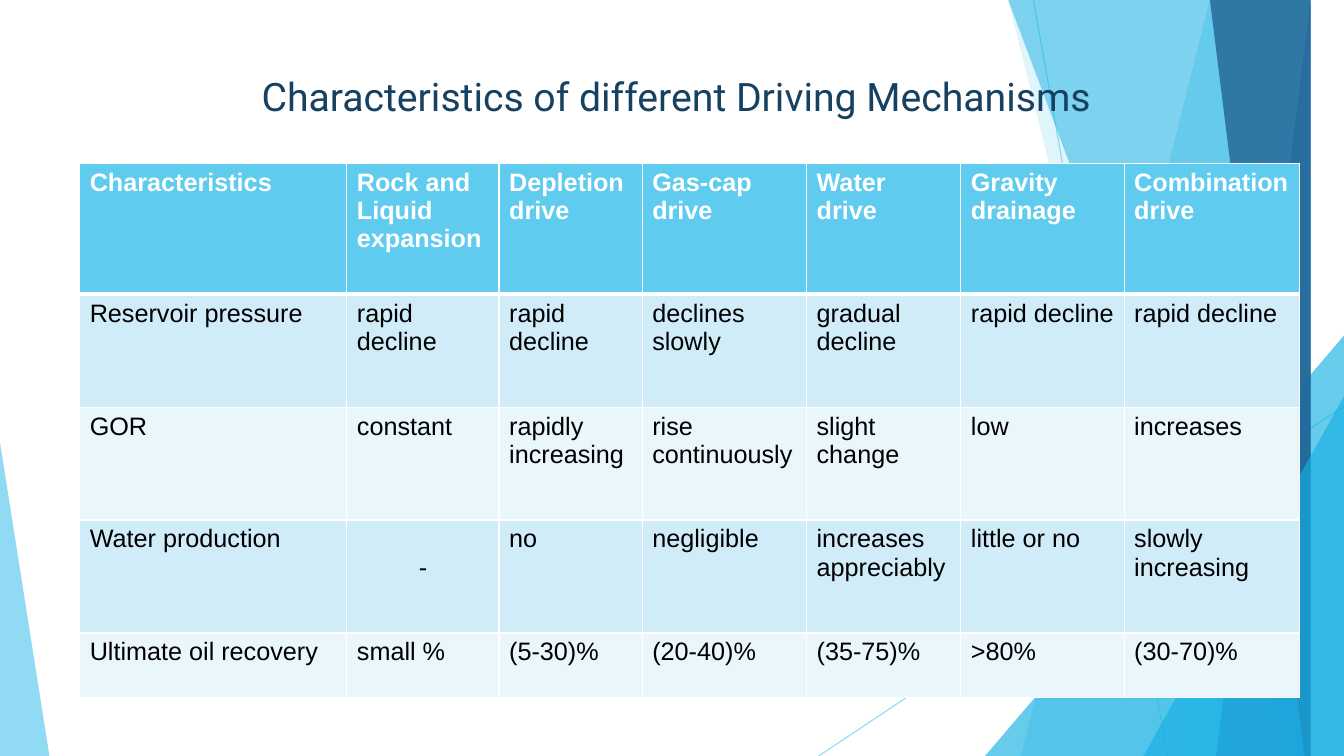
from dataclasses import dataclass

from lxml.etree import SubElement as Sub
from pptx import Presentation
from pptx.dml.color import RGBColor as RGB
from pptx.enum.shapes import MSO_CONNECTOR as Link, MSO_SHAPE as Kind
from pptx.enum.text import MSO_ANCHOR as Anchor, PP_ALIGN as Align
from pptx.oxml.ns import qn
from pptx.util import Inches, Pt


@dataclass(frozen=True)
class Theme:
    sky: str = "5FCBEF"
    cyan: str = "16B0E3"
    blue: str = "2E83C3"
    deep: str = "226292"
    navy: str = "164161"
    white: str = "FFFFFF"
    black: str = "000000"
    bands: tuple = ("D1ECF9", "E9F6FC")
    head_font: str = "Roboto"
    body_font: str = "Arial"
    head_size: int = 28
    body_size: int = 18


WIDE, HIGH = 13.33, 7.5
COLS = [2.65, 1.51, 1.42, 1.63, 1.53, 1.62, 1.74]
ROWS = [1.3, 1.12, 1.12, 1.12, 0.64]
DRIVES = [
    ["Characteristics", "Rock and Liquid expansion", "Depletion drive",
     "Gas-cap drive", "Water drive", "Gravity drainage", "Combination drive"],
    ["Reservoir pressure", "rapid decline", "rapid decline", "declines slowly",
     "gradual decline", "rapid decline", "rapid decline"],
    ["GOR", "constant", "rapidly increasing", "rise continuously",
     "slight change", "low", "increases"],
    ["Water production", "-", "no", "negligible", "increases appreciably",
     "little or no", "slowly increasing"],
    ["Ultimate oil recovery", "small %", "(5-30)%", "(20-40)%", "(35-75)%",
     ">80%", "(30-70)%"],
]


class Deck:
    def __init__(self, theme):
        self.theme = theme
        self.show = Presentation()
        self.show.slide_width = Inches(WIDE)
        self.show.slide_height = Inches(HIGH)
        self.slide = self.show.slides.add_slide(self.show.slide_layouts[5])
        self.shapes = self.slide.shapes

    def fade(self, fill, color, alpha):
        """Fill with a colour at alpha percent opacity."""
        fill.solid()
        fill.fore_color.rgb = RGB.from_string(color)
        tint = fill._xPr.find(".//" + qn("a:srgbClr"))
        Sub(tint, qn("a:alpha")).set("val", str(alpha * 1000))

    def paint(self, shape, color, alpha):
        shape.shadow.inherit = False
        shape.line.fill.background()
        self.fade(shape.fill, color, alpha)

    def line(self, *ends):
        line = self.shapes.add_connector(Link.STRAIGHT, *map(Inches, ends))
        line.line.width = Pt(0.75)
        self.fade(line.line.fill, self.theme.sky, 69)
        Sub(line._element.spPr, qn("a:effectLst"))

    def band(self, top, foot, color, alpha):
        """Fill from a slanted left edge to the right side of the slide."""
        pen = self.shapes.build_freeform(top, -0.01, scale=Inches(1))
        pen.add_line_segments([(WIDE, -0.01), (WIDE, HIGH), (foot, HIGH)])
        self.paint(pen.convert_to_shape(), color, alpha)

    def wedge(self, left, top, width, peak, color):
        """Triangle standing on the foot of the slide, peak from 0 to 1."""
        box = map(Inches, (left, top, width, HIGH - top))
        shape = self.shapes.add_shape(Kind.ISOSCELES_TRIANGLE, *box)
        shape.adjustments[0] = peak
        self.paint(shape, color, 69 if color == self.theme.sky else 65)

    def style(self, part, font, size, color, bold=False):
        for run in part.runs:
            run.font.name, run.font.size = font, Pt(size)
            run.font.bold = bold
            run.font.color.rgb = RGB.from_string(color)

    def title(self, text):
        head = self.shapes.title
        self.shapes._spTree.append(head._element)  # bring to front
        head.left, head.top = Inches(0.67), Inches(0.67)
        head.width, head.height = Inches(12.07), Inches(1.44)
        frame = head.text_frame
        frame.text = text
        frame.word_wrap = True
        frame.vertical_anchor = Anchor.TOP
        part = frame.paragraphs[0]
        part.alignment = Align.CENTER
        self.style(part, self.theme.head_font, self.theme.head_size,
                   self.theme.navy)

    def edge(self, cell, side, width):
        line = Sub(cell._tc.get_or_add_tcPr(), qn("a:ln" + side))
        line.set("w", str(Pt(width)))
        fill = Sub(line, qn("a:solidFill"))
        Sub(fill, qn("a:srgbClr")).set("val", self.theme.white)

    def cell(self, cell, text, row):
        look, head = self.theme, row == 0
        for side in "LRTB":
            thick = (head and side == "B") or (row == 1 and side == "T")
            self.edge(cell, side, 3 if thick else 1)
        cell.fill.solid()
        back = look.sky if head else look.bands[(row - 1) % 2]
        cell.fill.fore_color.rgb = RGB.from_string(back)
        cell.text_frame.text = text
        part = cell.text_frame.paragraphs[0]
        if text == "-":
            part.alignment = Align.CENTER
            cell.margin_top = Inches(0.33)
        self.style(part, look.body_font, look.body_size,
                   look.white if head else look.black, head)

    def table(self, left, top, cols, rows, data):
        box = map(Inches, (left, top, sum(cols), sum(rows)))
        grid = self.shapes.add_table(len(rows), len(cols), *box).table
        for col, width in zip(grid.columns, cols):
            col.width = Inches(width)
        for row, high in enumerate(rows):
            grid.rows[row].height = Inches(high)
            for col, text in enumerate(data[row]):
                self.cell(grid.cell(row, col), text, row)


def main():
    look = Theme()
    deck = Deck(look)
    deck.line(10.25, 0, 11.58, HIGH)
    deck.line(WIDE, 4.03, 8.12, HIGH)
    deck.band(12.28, 10.04, look.sky, 35)
    deck.band(10.5, 11.83, look.sky, 20)
    deck.wedge(9.77, 3.33, 3.56, 1, look.cyan)
    deck.band(10.21, 12.91, look.cyan, 49)
    deck.band(13.03, 11.92, look.blue, 69)
    deck.band(11.96, 13.18, look.deep, 80)
    deck.wedge(11.34, 3.93, 1.99, 1, look.cyan)
    deck.wedge(0, 4.39, 0.49, 0, look.sky)
    deck.title("Characteristics of different Driving Mechanisms")
    deck.table(0.79, 1.62, COLS, ROWS, DRIVES)
    deck.show.save("out.pptx")


if __name__ == "__main__":
    main()
